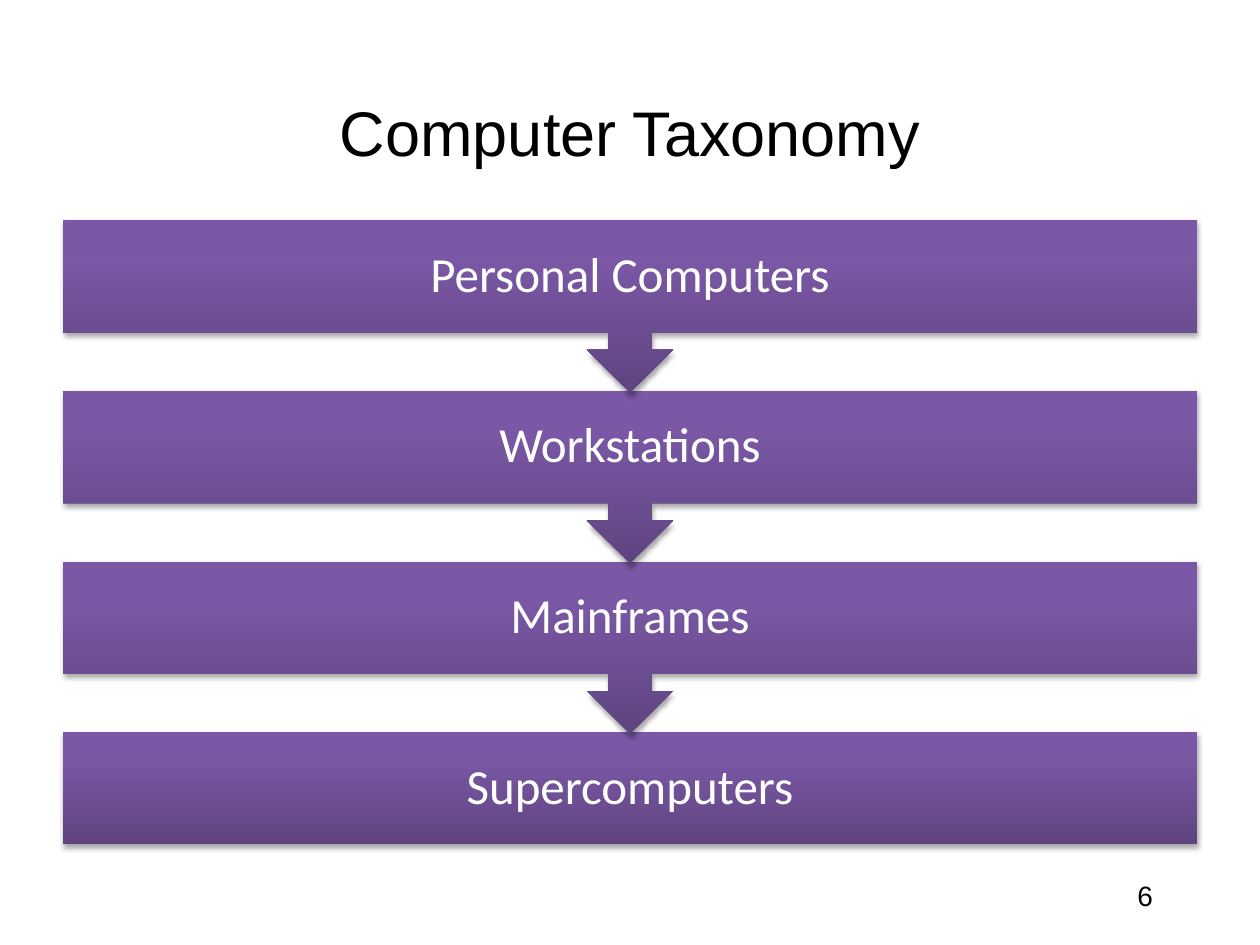
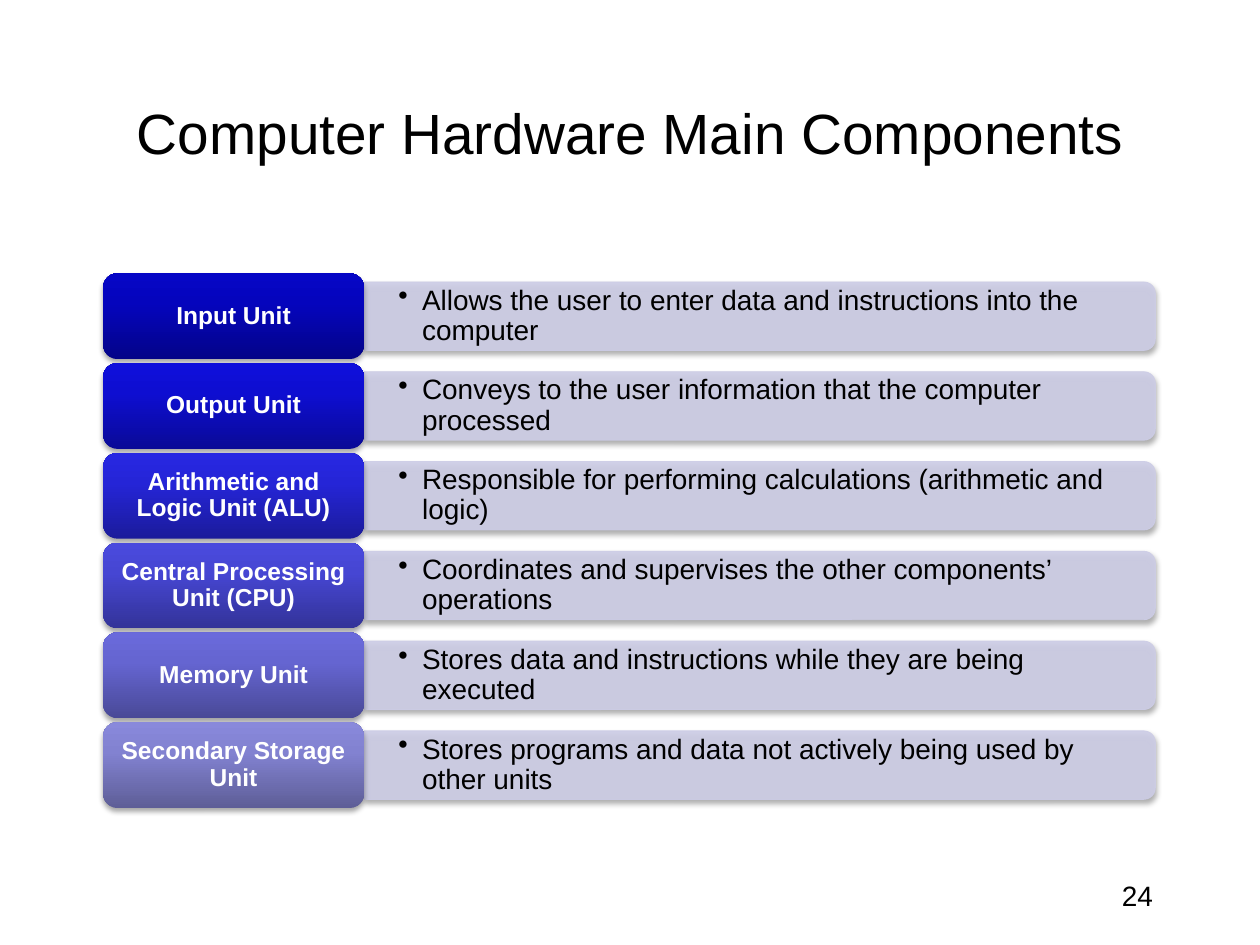
"""Build two slides on computer types and hardware units."""
import copy

import lxml.etree
import pptx
import pptx.dml.color
import pptx.enum.shapes
import pptx.enum.text
import pptx.oxml.ns
import pptx.util

Cm = pptx.util.Cm
Pt = pptx.util.Pt
qn = pptx.oxml.ns.qn
KIND = pptx.enum.shapes.MSO_SHAPE
SIDE = pptx.enum.text.PP_ALIGN
MID = pptx.enum.text.MSO_ANCHOR.MIDDLE
TOP = pptx.enum.text.MSO_ANCHOR.TOP

BLACK, WHITE, PALE = "000000", "FFFFFF", "CDCDE6"
PURPLE = [(0, "5F4480"), (0.8, "7B58A6"), (1, "7C57A8")]
HEAD = (1.9, 1.06, 21.6, 3.18)
FOOT = (18.21, 17.58, 5.28, 1.27)
STACK = (1.27, 4.44, 22.86, 12.58)
TABLE = (2.08, 5.51, 21.21, 10.78)

TYPES = ["Personal Computers", "Workstations", "Mainframes", "Supercomputers"]
UNITS = [
    ("Input Unit", "Allows the user to enter data and instructions into the computer",
     ("040488", "0505BD", "0606C6")),
    ("Output Unit", "Conveys to the user information that the computer processed",
     ("0A0A97", "0E0ED1", "0F0FDB")),
    ("Arithmetic and Logic Unit (ALU)",
     "Responsible for performing calculations (arithmetic and logic)",
     ("1B1B9B", "2525D7", "2727E2")),
    ("Central Processing Unit (CPU)",
     "Coordinates and supervises the other components’ operations",
     ("333398", "4646D3", "4A4ADD")),
    ("Memory Unit", "Stores data and instructions while they are being executed",
     ("494997", "6565D1", "6A6ADB")),
    ("Secondary Storage Unit",
     "Stores programs and data not actively being used by other units",
     ("5E5E97", "8282D1", "8989DB")),
]


def hue(code):
    """Turn a hex string into a colour."""
    return pptx.dml.color.RGBColor.from_string(code)


def put(item, **vals):
    """Set each named value on an item."""
    for name, val in vals.items():
        setattr(item, name, val)


def add(root, tag, **vals):
    """Add a drawing element with its values."""
    return lxml.etree.SubElement(root, qn(tag), {k: str(v) for k, v in vals.items()})


def span(box):
    """Turn a box in centimetres into lengths."""
    return [Cm(side) for side in box]


def shade(shape, drop):
    """Give a shape a soft shadow below it."""
    shape.shadow.inherit = False
    root = shape._element.spPr.find(qn("a:effectLst"))
    cast = add(root, "a:outerShdw", blurRad=Pt(3.1), dist=Pt(drop),
               dir=5400000, rotWithShape=0)
    add(add(cast, "a:srgbClr", val=BLACK), "a:alpha", val=35000)


def blend(shape, stops):
    """Fill a shape with three colours from its foot upward."""
    shape.fill.gradient()
    shape.fill.gradient_angle = 90
    root = shape._element.spPr.find(qn("a:gradFill"))
    root.set("rotWithShape", "0")
    steps = root.find(qn("a:gsLst"))
    steps.append(copy.deepcopy(steps[0]))
    for stop, (place, code) in zip(shape.fill.gradient_stops, stops):
        stop.color.rgb = hue(code)
        stop.position = place
    shape.line.fill.background()


def write(frame, text, size, code, side, pad=(0.25, 0.13), anchor=MID,
          face="Arial", bold=False, gap=None):
    """Write one formatted paragraph in a text frame."""
    put(frame, word_wrap=True, vertical_anchor=anchor,
        margin_left=Cm(pad[0]), margin_right=Cm(pad[0]),
        margin_top=Cm(pad[1]), margin_bottom=Cm(pad[1]))
    frame.text = text
    para = frame.paragraphs[0]
    put(para, alignment=side, line_spacing=gap)
    font = para.runs[0].font
    put(font, name=face, size=Pt(size), bold=bold)
    font.color.rgb = hue(code)
    return para


def label(slide, box, *args, **vals):
    """Place a text box and write in it."""
    frame = slide.shapes.add_textbox(*span(box)).text_frame
    return write(frame, *args, **vals)


def start(deck, title, size, page):
    """Add a slide with its title and page number."""
    slide = deck.slides.add_slide(deck.slide_layouts[5])
    head = slide.shapes.title
    put(head, **dict(zip(("left", "top", "width", "height"), span(HEAD))))
    write(head.text_frame, title, size, BLACK, SIDE.CENTER)
    label(slide, FOOT, page, 16, BLACK, SIDE.RIGHT, anchor=TOP)
    return slide


def stack(slide, box, names):
    """Stack bands that point down to the next one."""
    left, top, wide, high = box
    band = 2.26
    step = (high - band) / (len(names) - 1)
    for row in reversed(range(len(names))):
        y = top + row * step
        last = row == len(names) - 1
        kind = KIND.RECTANGLE if last else KIND.UP_ARROW_CALLOUT
        tall = band if last else step + 0.04
        shape = slide.shapes.add_shape(kind, *span((left, y, wide, tall)))
        shape.rotation = 0 if last else 180
        blend(shape, PURPLE)
        shade(shape, 1.8)
        label(slide, (left, y, wide, band), names[row], 28, WHITE, SIDE.CENTER,
              pad=(0.56, 0.56), face="Calibri", gap=0.9)


def strip(slide, box, text):
    """Place a pale strip, rounded on the right, with a bullet."""
    left, top, wide, high = box
    turn = (wide - high) / 2
    shape = slide.shapes.add_shape(
        KIND.ROUND_2_SAME_RECTANGLE, *span((left + turn, top - turn, high, wide)))
    shape.rotation = 90
    shape.fill.solid()
    shape.fill.fore_color.rgb = hue(PALE)
    shape.line.color.rgb = hue(PALE)
    shape.line.width = Pt(0.5)
    for tint in shape._element.spPr.iter(qn("a:srgbClr")):
        add(tint, "a:alpha", val=90000)
    shade(shape, 2)
    para = label(slide, (left, top + 0.07, wide - 0.05, high - 0.14), text, 16,
                 BLACK, SIDE.LEFT, pad=(0.69, 0.36), gap=0.9)
    para.level = 1
    props = para._p.get_or_add_pPr()
    props.set("marL", str(Cm(0.48)))
    props.set("indent", str(Cm(-0.48)))
    add(props, "a:buChar", char="•")


def tag(slide, box, text, codes):
    """Place a rounded name tag."""
    left, top, wide, high = box
    shape = slide.shapes.add_shape(KIND.ROUNDED_RECTANGLE, *span(box))
    blend(shape, zip((0, 0.65, 1), codes))
    shade(shape, 2)
    label(slide, (left + 0.09, top + 0.09, wide - 0.18, high - 0.18), text, 14,
          WHITE, SIDE.CENTER, pad=(0.15, 0.08), bold=True, gap=0.9)


def table(slide, box, units):
    """Place a row of tag and strip for each unit."""
    left, top, wide, high = box
    name, tall, thin = 5.26, 1.73, 1.38
    step = (high - tall) / (len(units) - 1)
    for row, (title, text, codes) in enumerate(units):
        y = top + row * step
        strip(slide, (left + name, y + (tall - thin) / 2, wide - name, thin), text)
        tag(slide, (left, y, name, tall), title, codes)


def main():
    """Build and save the deck."""
    deck = pptx.Presentation()
    put(deck, slide_width=Cm(25.4), slide_height=Cm(19.05))
    stack(start(deck, "Computer Taxonomy", 36, "6"), STACK, TYPES)
    table(start(deck, "Computer Hardware Main Components", 32.4, "24"), TABLE, UNITS)
    deck.save("out.pptx")


if __name__ == "__main__":
    main()
